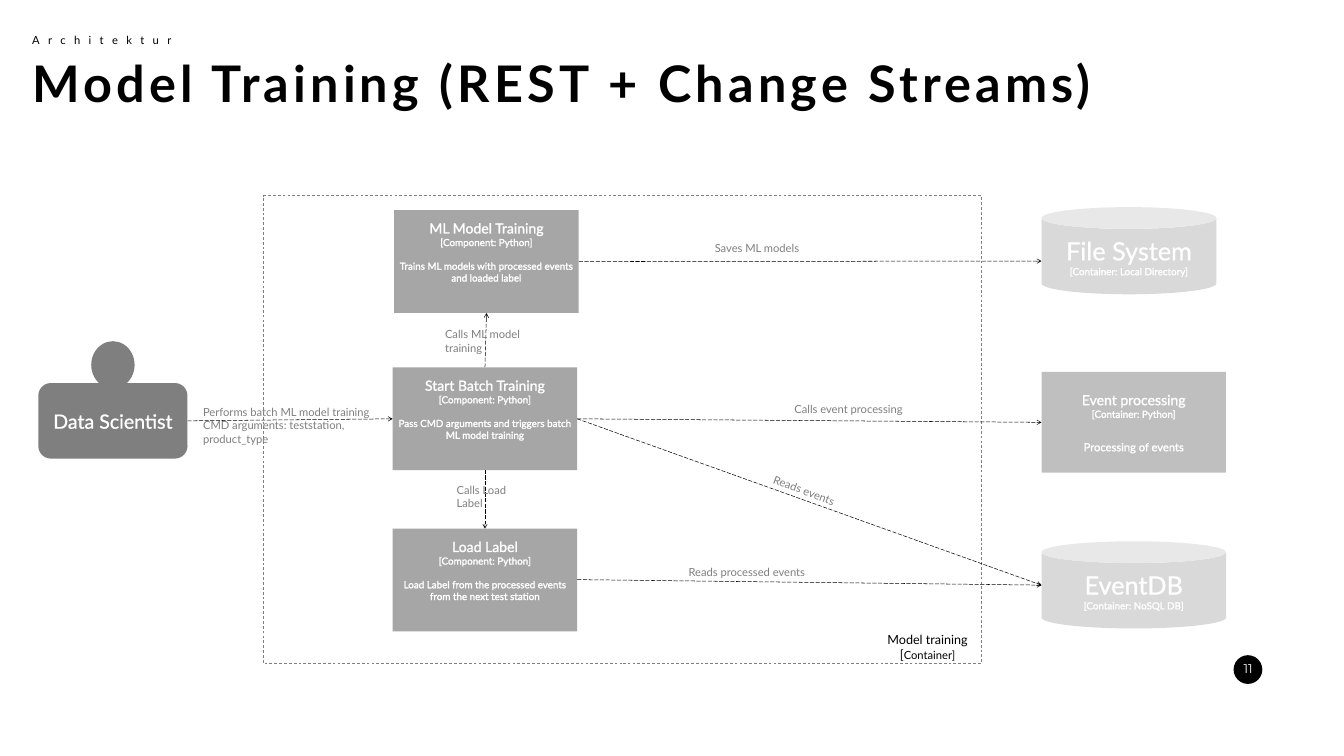
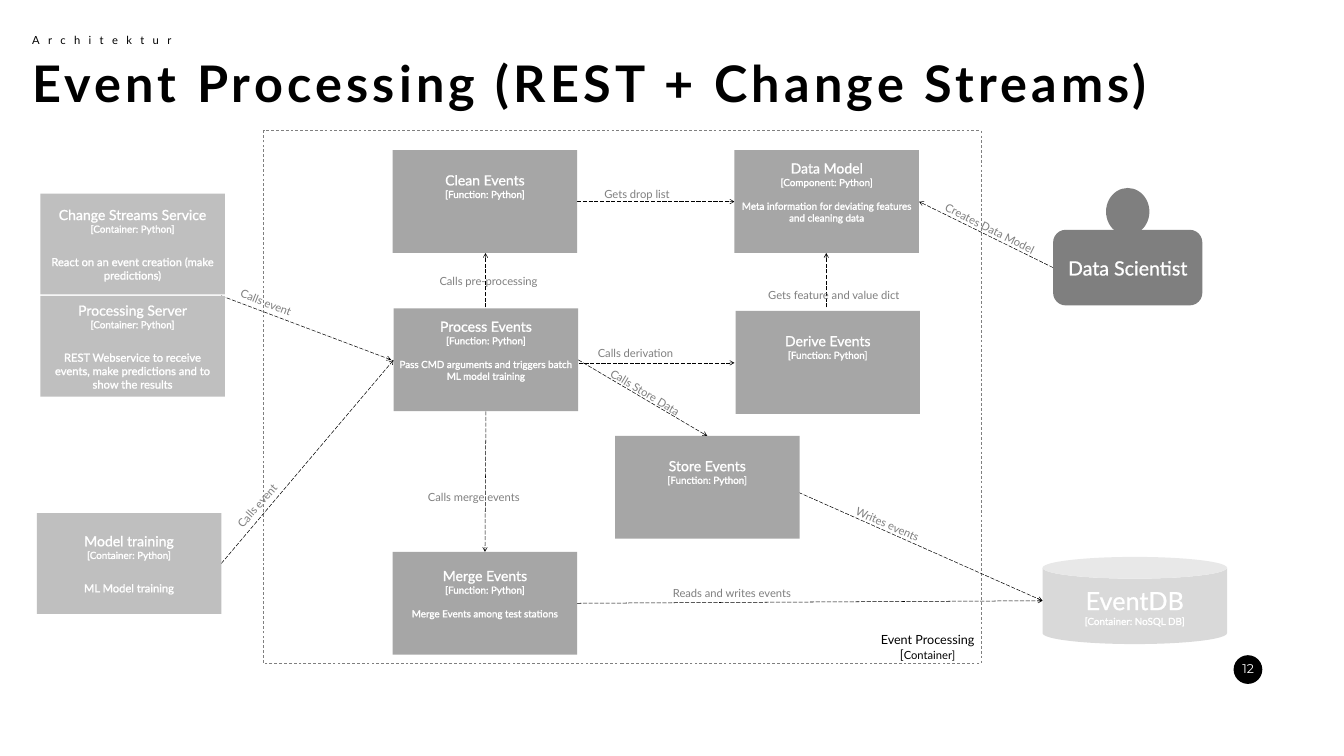
"""Build two architecture slides: model training and event processing."""
from lxml.etree import SubElement
from pptx import Presentation
from pptx.dml.color import RGBColor
from pptx.enum.dml import MSO_LINE
from pptx.enum.shapes import MSO_CONNECTOR, MSO_SHAPE as SHAPE
from pptx.enum.text import MSO_ANCHOR as ANCHOR, PP_ALIGN as ALIGN
from pptx.oxml import parse_xml
from pptx.oxml.ns import nsdecls, qn
from pptx.util import Pt

PX = 9144
BLACK, WHITE, GRAY = "000000", "FFFFFF", "7F7F7F"
rgb = RGBColor.from_string


def write(frame, text, size=16, color=GRAY, font="Lato", bold=None, spacing=0,
          align=None, outline=False, before=0, join=False):
    paragraph = frame.paragraphs[-1]
    if paragraph.runs and not join:
        paragraph = frame.add_paragraph()
    if align is not None:
        paragraph.alignment = align
    if before:
        paragraph.space_before = Pt(before)
    for number, line in enumerate(text.split("\v")):
        if number:
            paragraph.add_line_break()
            line_break = paragraph._p.findall(qn("a:br"))[-1]
            SubElement(line_break, qn("a:rPr"), sz=str(size * 100))
        run = paragraph.add_run()
        run.text = line
        run.font.name, run.font.size, run.font.bold = font, Pt(size), bold
        run.font.color.rgb = rgb(color)
        properties = run._r.get_or_add_rPr()
        if spacing:
            properties.set("spc", str(spacing * 100))
        if outline:
            properties.insert(0, parse_xml(
                f'<a:ln {nsdecls("a")} w="9525"><a:solidFill><a:srgbClr val="{color}"/>'
                '</a:solidFill></a:ln>'))


def block(shapes, preset, left, top, width, height, color=None):
    shape = shapes.add_shape(preset, left * PX, top * PX, width * PX, height * PX)
    shape.shadow.inherit = False
    shape.line.fill.background()
    if color:
        shape.fill.solid()
        shape.fill.fore_color.rgb = rgb(color)
    else:
        shape.fill.background()
    shape.text_frame.word_wrap = True
    shape.text_frame.vertical_anchor = ANCHOR.MIDDLE
    return shape


STYLES = {
    "component": dict(preset=SHAPE.RECTANGLE, color="A6A6A6", height=204,
                      title=20, note=14, gap=17),
    "container": dict(preset=SHAPE.RECTANGLE, color="BFBFBF", height=200,
                      title=20, note=16, gap=29),
    "store": dict(preset=SHAPE.CAN, color="D9D9D9", height=173,
                  title=36, note=14, gap=0),
}

PAGES = [
    dict(
        number="11",
        title="Model Training (REST + Change Streams)",
        boundary="Model training", boundary_top=388,
        person=(76, 677),
        parts=[
            ("store", 2066, 1074, 366, "EventDB", "[Container: NoSQL DB]", ""),
            ("store", 2066, 411, 347, "File System", "[Container: Local Directory]", ""),
            ("container", 2066, 738, 366, "Event processing", "[Container: Python]",
             "Processing of events"),
            ("component", 779, 729, 366, "Start Batch Training", "[Component: Python]",
             "Pass CMD arguments and triggers batch ML model training"),
            ("component", 779, 1049, 366, "Load Label", "[Component: Python]",
             "Load Label from the processed events from the next test station"),
            ("component", 782, 417, 366, "ML Model Training", "[Component: Python]",
             "Trains ML models with processed events and loaded label"),
        ],
        arrows=[
            (372, 835, 779, 831), (1145, 831, 2066, 838), (1145, 831, 2066, 1161),
            (1145, 1150, 2066, 1161), (962, 932, 962, 1049), (962, 729, 965, 621),
            (1148, 519, 2066, 518),
        ],
        labels=[
            (393, 799, 118, 0, "Performs batch ML model training\v"
                               "CMD arguments: teststation, product_type"),
            (1566, 794, 37, 0, "Calls event processing"),
            (1514, 995, 37, 20.7, "Reads events"),
            (896, 954, 64, 0, "Calls Load\vLabel"),
            (1356, 1116, 37, 0, "Reads processed events"),
            (873, 645, 64, 0, "Calls ML model\vtraining"),
            (1408, 474, 37, 0, "Saves ML models"),
        ],
    ),
    dict(
        number="12",
        title="Event Processing (REST + Change Streams)",
        boundary="Event Processing", boundary_top=259,
        person=(2089, 373),
        parts=[
            ("store", 2068, 1105, 366, "EventDB", "[Container: NoSQL DB]", ""),
            ("component", 781, 612, 366, "Process Events", "[Function: Python]",
             "Pass CMD arguments and triggers batch ML model training"),
            ("component", 1457, 298, 366, "Data Model", "[Component: Python]",
             "Meta information for deviating features and cleaning data"),
            ("component", 779, 298, 366, "Clean Events", "[Function: Python]", ""),
            ("container", 80, 384, 366, "Change Streams Service", "[Container: Python]",
             "React on an event creation (make predictions)"),
            ("container", 80, 587, 366, "Processing Server", "[Container: Python]",
             "REST Webservice to receive events, make predictions and to show the results"),
            ("container", 73, 1018, 366, "Model training", "[Container: Python]",
             "ML Model training"),
            ("component", 1459, 617, 366, "Derive Events", "[Function: Python]", ""),
            ("component", 779, 1095, 366, "Merge Events", "[Function: Python]",
             "Merge Events among test stations"),
            ("component", 1220, 865, 366, "Store Events", "[Function: Python]", ""),
        ],
        arrows=[
            (439, 587, 776, 714), (439, 1118, 781, 714), (1145, 400, 1457, 400),
            (963, 610, 963, 502), (1148, 720, 1457, 720), (1639, 610, 1639, 502),
            (964, 816, 962, 1095), (1145, 1197, 2068, 1192), (1147, 714, 1403, 865),
            (1584, 977, 2068, 1192), (2089, 531, 1823, 400),
        ],
        labels=[
            (456, 628, 37, 21.6, "Calls event"),
            (404, 890, 37, 311, "Calls event"),
            (839, 967, 37, 0, "Calls merge events"),
            (1189, 367, 37, 0, "Gets drop list"),
            (1176, 683, 37, 0, "Calls derivation"),
            (1514, 568, 37, 0, "Gets feature and value dict"),
            (862, 540, 37, 0, "Calls pre-processing"),
            (1325, 1158, 37, 0, "Reads and writes events"),
            (1674, 1067, 37, 23.8, "Writes events"),
            (1178, 812, 37, 30.9, "Calls Store Data"),
            (1848, 472, 37, 26.7, "Creates Data Model"),
        ],
    ),
]

deck = Presentation()
deck.slide_width, deck.slide_height = 2666 * PX, 1500 * PX

for page in PAGES:
    shapes = deck.slides.add_slide(deck.slide_layouts[6]).shapes

    block(shapes, SHAPE.OVAL, 2447, 1300, 57, 57, BLACK)
    number = shapes.add_textbox(2440 * PX, 1301 * PX, 86 * PX, 50 * PX).text_frame
    number.word_wrap = False
    number.margin_left, number.margin_right = 20 * PX, 34 * PX
    number.margin_top = number.margin_bottom = 10 * PX
    write(number, page["number"], size=18, color=WHITE, font="Montserrat", align=ALIGN.CENTER)

    section = shapes.add_textbox(54 * PX, 61 * PX, 314 * PX, 37 * PX).text_frame
    section.word_wrap = False
    write(section, "Architektur", color=BLACK, spacing=12)
    title = shapes.add_textbox(54 * PX, 98 * PX, 2588 * PX, 131 * PX).text_frame
    title.word_wrap = True
    write(title, page["title"], size=72, color=BLACK, bold=True, spacing=6)

    top = page["boundary_top"]
    boundary = block(shapes, SHAPE.RECTANGLE, 523, top, 1423, 1317 - top)
    boundary.line.color.rgb = rgb(GRAY)
    boundary.line.width = Pt(1)
    boundary.line.dash_style = MSO_LINE.DASH
    caption = shapes.add_textbox(1699 * PX, 1249 * PX, 282 * PX, 71 * PX).text_frame
    caption.word_wrap = True
    write(caption, page["boundary"] + "\v[", size=18, color=BLACK, align=ALIGN.CENTER)
    write(caption, "Container]", color=BLACK, join=True)

    for ends in page["arrows"]:
        arrow = shapes.add_connector(MSO_CONNECTOR.STRAIGHT, *(end * PX for end in ends))
        arrow.line.color.rgb = rgb(BLACK)
        arrow.line.width = Pt(0.75)
        arrow.line.dash_style = MSO_LINE.LONG_DASH
        SubElement(arrow.line._get_or_add_ln(), qn("a:tailEnd"), type="arrow")
        SubElement(arrow._element.spPr, qn("a:effectLst"))

    for kind, left, top, width, name, technology, note in page["parts"]:
        style = STYLES[kind]
        part = block(shapes, style["preset"], left, top, width, style["height"], style["color"])
        frame = part.text_frame
        if kind == "component":
            frame.margin_bottom = (45 if note else 68) * PX
        look = dict(color=WHITE, align=ALIGN.CENTER, outline=True)
        write(frame, name, size=style["title"], **look)
        write(frame, technology, size=14, **look)
        if note:
            write(frame, note, size=style["note"], before=style["gap"], **look)

    left, top = page["person"]
    person = shapes.add_group_shape().shapes
    body = block(person, SHAPE.ROUNDED_RECTANGLE, left, top + 83, 296, 150, GRAY)
    write(body.text_frame, "Data Scientist", size=28, color=WHITE,
          align=ALIGN.CENTER, outline=True)
    block(person, SHAPE.OVAL, left + 105, top, 86, 94, GRAY)

    for left, top, height, rotation, text in page["labels"]:
        label = shapes.add_textbox(left * PX, top * PX, 377 * PX, height * PX)
        label.rotation = rotation
        label.text_frame.word_wrap = True
        write(label.text_frame, text)

deck.save("out.pptx")
